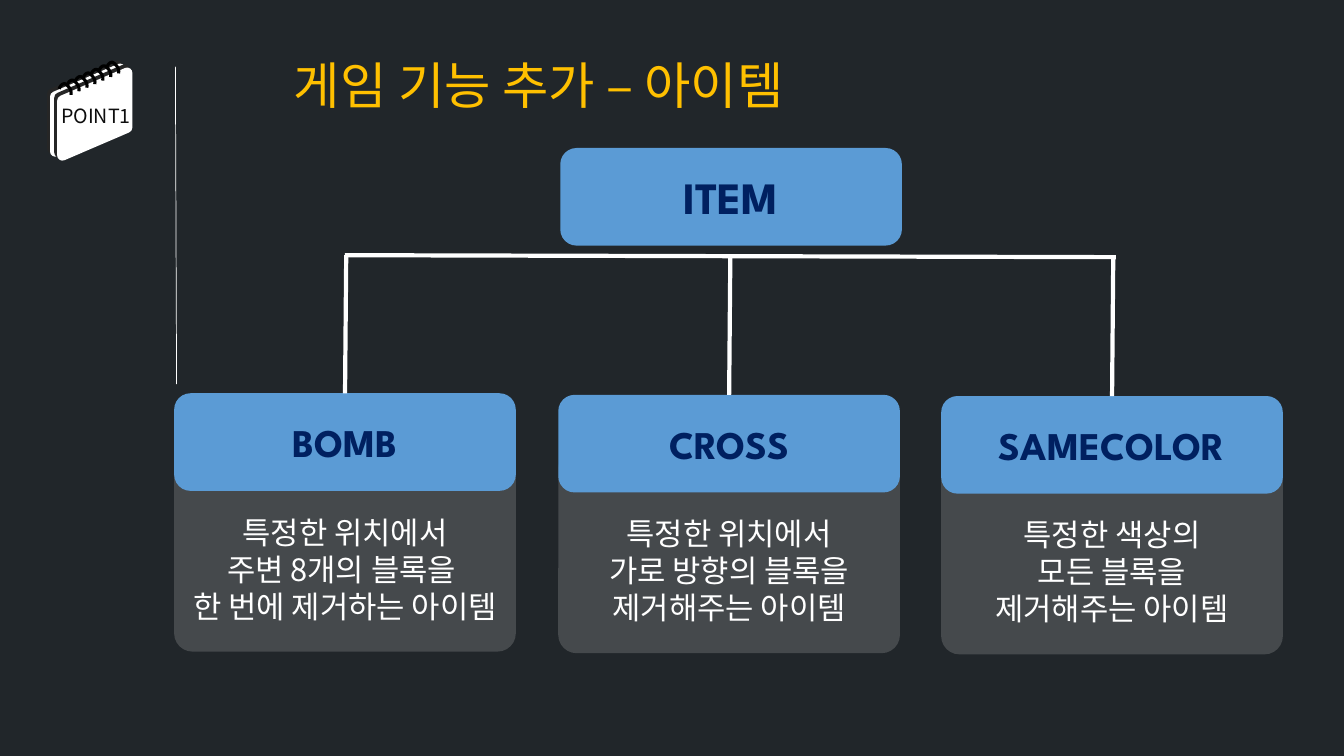
from lxml.etree import SubElement
from pptx import Presentation
from pptx.dml.color import RGBColor
from pptx.enum.shapes import MSO_CONNECTOR as Link, MSO_SHAPE as Preset
from pptx.enum.text import MSO_ANCHOR as Anchor, MSO_AUTO_SIZE as Fit, PP_ALIGN as Align
from pptx.oxml.ns import qn
from pptx.util import Cm, Pt

NIGHT = RGBColor(0x21, 0x26, 0x2A)
WHITE = RGBColor(0xFF, 0xFF, 0xFF)
BLACK = RGBColor(0x00, 0x00, 0x00)
INK = RGBColor(0x0D, 0x0D, 0x0D)
AMBER = RGBColor(0xFF, 0xC0, 0x00)
BLUE = RGBColor(0x5B, 0x9B, 0xD5)
NAVY = RGBColor(0x00, 0x20, 0x60)
GREY = RGBColor(0x45, 0x49, 0x4C)
KOREAN = "Noto Sans CJK KR"
CHINESE = "Noto Sans CJK SC"
SPARTAN = "League Spartan"

BOX_WIDTH, HEAD_HEIGHT, BODY_HEIGHT = 8.61, 2.46, 5.11
ITEMS = [
    (4.39, 9.91, "BOMB", ["특정한 위치에서", "주변 8개의 블록을 ", "한 번에 제거하는 아이템"]),
    (14.07, 9.95, "CROSS", ["특정한 위치에서", "가로 방향의 블록을", "제거해주는 아이템"]),
    (23.72, 9.98, "SAMECOLOR", ["특정한 색상의", "모든 블록을", "제거해주는 아이템"]),
]
RING_CURVES = [
    [(0, 0), (0.04, -0.10), (0.10, -0.14), (0.15, -0.13)],
    [(0.15, -0.13), (0.20, -0.10), (0.33, 0), (0.30, 0.15)],
]


def write(frame, lines, size, font, color, align=Align.CENTER, bold=False):
    """Write one paragraph per line into a text frame."""
    for index, line in enumerate(lines):
        para = frame.add_paragraph() if index else frame.paragraphs[0]
        para.alignment = align
        span = para.add_run()
        span.text = line
        span.font.size = Pt(size)
        span.font.name = font
        span.font.bold = bold
        span.font.color.rgb = color
        SubElement(span.font._element, qn("a:ea"), typeface=font)


def add_label(page, left, top, width, height, text, style, wrap=True):
    """Add a text box that holds one line."""
    box = page.shapes.add_textbox(Cm(left), Cm(top), Cm(width), Cm(height))
    box.text_frame.word_wrap = wrap
    box.text_frame.auto_size = Fit.SHAPE_TO_FIT_TEXT
    write(box.text_frame, [text], *style)


def add_card(page, left, top, height, fill):
    """Add a borderless rounded card with middle-anchored text."""
    card = page.shapes.add_shape(Preset.ROUNDED_RECTANGLE, Cm(left), Cm(top), Cm(BOX_WIDTH), Cm(height))
    card.shadow.inherit = False
    card.fill.solid()
    card.fill.fore_color.rgb = fill
    card.line.fill.background()
    card.text_frame.word_wrap = True
    card.text_frame.vertical_anchor = Anchor.MIDDLE
    return card


def add_heading(page, left, top, text, size):
    """Add a blue heading card."""
    card = add_card(page, left, top, HEAD_HEIGHT, BLUE)
    write(card.text_frame, [text], size, SPARTAN, NAVY, bold=True)
    return card


def add_item(page, left, top, name, lines):
    """Add an item's description with its heading on top."""
    body = add_card(page, left, top + 1.4, BODY_HEIGHT, GREY)
    body.adjustments[0] = 0.09
    body.text_frame.margin_top = Cm(1.06)
    write(body.text_frame, lines, 22, KOREAN, WHITE)
    return add_heading(page, left, top, name, 28)


def add_line(page, start, end, width):
    """Add a straight white line."""
    line = page.shapes.add_connector(Link.STRAIGHT, *map(Cm, start + end))
    line.line.color.rgb = WHITE
    line.line.width = Pt(width)
    SubElement(line.element.spPr, qn("a:effectLst"))
    return line


def add_sheet(pad, left, top):
    """Add one slanted sheet of the notepad."""
    sheet = pad.shapes.add_shape(Preset.PARALLELOGRAM, Cm(left), Cm(top), Cm(2.08), Cm(1.63))
    sheet.adjustments[0] = 0.43
    sheet.rotation = 90
    sheet.fill.solid()
    sheet.fill.fore_color.rgb = WHITE
    sheet.line.color.rgb = WHITE
    sheet.line.width = Pt(7.5)
    sheet.shadow.inherit = False
    outline = sheet.element.spPr
    outline.find(qn("a:xfrm")).set("flipH", "1")
    SubElement(outline.find(qn("a:ln")), qn("a:round"))
    shadow = SubElement(outline.find(qn("a:effectLst")), qn("a:outerShdw"),
                        blurRad="0", dist=str(Pt(3)), dir="13500000", rotWithShape="0")
    SubElement(shadow, qn("a:srgbClr"), val="262626")


def curve_points(curve, steps=8):
    """Return points along a cubic curve, without its start."""
    weights = [((1 - t) ** 3, 3 * t * (1 - t) ** 2, 3 * t * t * (1 - t), t ** 3)
               for t in (step / steps for step in range(1, steps + 1))]
    return [tuple(sum(w * point[axis] for w, point in zip(row, curve)) for axis in (0, 1))
            for row in weights]


def add_ring(pad, left, top):
    """Add one wire ring of the notepad."""
    builder = pad.shapes.build_freeform(Cm(left), Cm(top))
    points = [point for curve in RING_CURVES for point in curve_points(curve)]
    builder.add_line_segments([(Cm(left + x), Cm(top + y)) for x, y in points], close=False)
    ring = builder.convert_to_shape()
    ring.fill.background()
    ring.line.color.rgb = BLACK
    ring.line.width = Pt(2.25)
    ring.shadow.inherit = False


def add_notepad(page):
    """Add the spiral notepad with its label."""
    pad = page.shapes.add_group_shape()
    add_sheet(pad, 1.17, 1.96)
    add_sheet(pad, 1.35, 2.06)
    for index in range(7):
        add_ring(pad, 2.69 - 0.2 * index, 1.7 + 0.09 * index)
    add_label(page, 1.24, 2.49, 2.36, 0.86, "POINT1", (14, CHINESE, INK), wrap=False)


def main():
    """Build the item slide and save it."""
    deck = Presentation()
    deck.slide_width, deck.slide_height = Cm(33.87), Cm(19.05)
    page = deck.slides.add_slide(deck.slide_layouts[6])
    page.background.fill.solid()
    page.background.fill.fore_color.rgb = NIGHT
    add_line(page, (4.42, 1.68), (4.45, 9.68), 0.5)
    add_notepad(page)
    add_label(page, 7.16, 1.24, 23.19, 1.8, "게임 기능 추가 – 아이템", (36, KOREAN, AMBER, Align.LEFT))
    headings = [add_item(page, *item) for item in ITEMS]
    for heading, (left, top, *_) in zip(headings, ITEMS):
        middle = left + BOX_WIDTH / 2
        stem = add_line(page, (middle, top), (middle + 0.03, top - 3.48), 3)
        stem.begin_connect(heading, 0)
    add_line(page, (8.69, 6.43), (28.12, 6.48), 3)
    add_heading(page, 14.12, 3.73, "ITEM", 32)
    deck.save("out.pptx")


if __name__ == "__main__":
    main()
